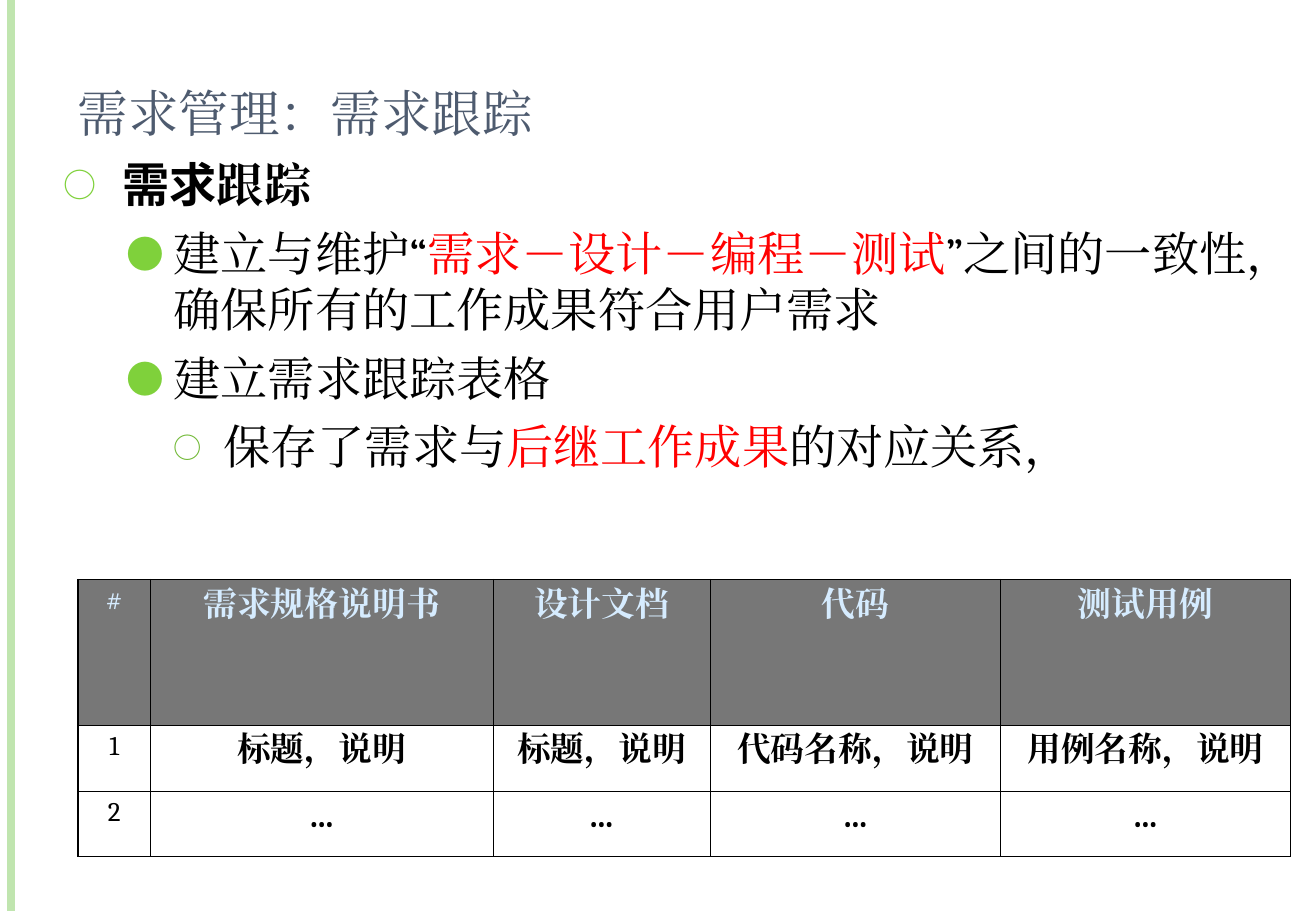
import pptx
import pptx.util
import pptx.dml.color
import pptx.enum.shapes
import pptx.enum.text
import pptx.oxml
import pptx.oxml.ns
import lxml.etree

Cm, Pt = pptx.util.Cm, pptx.util.Pt
RGB = pptx.dml.color.RGBColor.from_string
qn = pptx.oxml.ns.qn


class Theme:
    title, text, accent = "4E5B6F", "000000", "FF0101"
    stripe, bullet, sub_bullet = "C0E5AF", "7FD13B", "6FB833"
    head_fill, head_text = "777777", "D6ECFF"
    title_size, body_size, cell_size, number_size = 30, 28, 20, 16
    serif, roman, sans = "Cambria", "Times New Roman", "Noto Sans CJK SC"
    thin, thick = 0.45, 1.08


# Bullet levels: left margin and hanging indent in cm, space before, mark, colour, size
LEVELS = [
    (1.24, 1.24, 6, "○", Theme.bullet, 70),
    (2.31, 0.99, 7, "●", Theme.bullet, 80),
    (3.35, 1.04, 7, "○", Theme.sub_bullet, 60),
]
# Run styles: font, colour, bold
STYLES = {
    "lead": (Theme.sans, Theme.text, True),
    "lead_end": (Theme.roman, Theme.text, True),
    "plain": (Theme.roman, Theme.text, False),
    "quote": (Theme.serif, Theme.text, False),
    "red": (Theme.roman, Theme.accent, False),
}
BODY = [
    (0, [("需求", "lead"), ("跟踪", "lead_end")]),
    (1, [("建立与维护", "plain"), ("“", "quote"),
         ("需求－设计－编程－测试", "red"), ("”", "quote"),
         ("之间的一致性，确保所有的工作成果符合用户需求", "plain")]),
    (1, [("建立需求跟踪表格", "plain")]),
    (2, [("保存了需求与", "plain"), ("后继工作成果", "red"),
         ("的对应关系，", "plain")]),
]
TRACE_ROWS = [
    ["#", "需求规格说明书", "设计文档", "代码", "测试用例"],
    ["1", "标题，说明", "标题，说明", "代码名称，说明", "用例名称，说明"],
    ["2"] + ["..."] * 4,
]
COL_WIDTHS = [1.52, 7.16, 4.55, 6.07, 6.07]
ROW_HEIGHTS = [3.05, 1.37, 1.37]


def set_all(obj, values):
    for name, value in values.items():
        setattr(obj, name, value)


def add_run(p, text, size, font, color, bold=False):
    r = p.add_run()
    r.text = text
    set_all(r.font, {"size": Pt(size), "name": font, "bold": bold})
    r.font.color.rgb = RGB(color)
    # East Asian glyphs use the same font name
    ea = lxml.etree.SubElement(r.font._element, qn("a:ea"))
    ea.set("typeface", font)


def place(shape, box):
    set_all(shape, dict(zip(("left", "top", "width", "height"), map(Cm, box))))


def set_bullet(p, level):
    margin, hang, before, mark, color, size = LEVELS[level]
    set_all(p, {"level": level, "space_before": Pt(before)})
    pPr = p._p.get_or_add_pPr()
    pPr.set("marL", str(Cm(margin)))
    pPr.set("indent", str(-Cm(hang)))
    clr = lxml.etree.SubElement(pPr, qn("a:buClr"))
    lxml.etree.SubElement(clr, qn("a:srgbClr")).set("val", color)
    for tag, key, value in (("a:buSzPct", "val", str(size * 1000)),
                            ("a:buFont", "typeface", Theme.sans),
                            ("a:buChar", "char", mark)):
        lxml.etree.SubElement(pPr, qn(tag)).set(key, value)


def add_stripe(s, x, height):
    line = s.shapes.add_connector(pptx.enum.shapes.MSO_CONNECTOR.STRAIGHT,
                                  Cm(x), 0, Cm(x), Cm(height))
    line.line.width = Pt(4.5)
    line.line.color.rgb = RGB(Theme.stripe)
    lxml.etree.SubElement(line._element.spPr, qn("a:effectLst"))


def add_title(s, box, text):
    sp = s.shapes.title
    place(sp, box)
    tf = sp.text_frame
    set_all(tf, {"word_wrap": True,
                 "vertical_anchor": pptx.enum.text.MSO_ANCHOR.MIDDLE})
    p = tf.paragraphs[0]
    p.alignment = pptx.enum.text.PP_ALIGN.LEFT
    add_run(p, text, Theme.title_size, Theme.serif, Theme.title)


def add_body(s, box, paragraphs):
    sp = s.placeholders[1]
    place(sp, box)
    tf = sp.text_frame
    set_all(tf, {"word_wrap": True,
                 "auto_size": pptx.enum.text.MSO_AUTO_SIZE.NONE})
    for i, (level, runs) in enumerate(paragraphs):
        p = tf.add_paragraph() if i else tf.paragraphs[0]
        set_bullet(p, level)
        for text, style in runs:
            add_run(p, text, Theme.body_size, *STYLES[style])


def set_borders(cell, widths):
    tcPr = cell._tc.get_or_add_tcPr()
    for side, width in zip("LRTB", widths):
        ln = lxml.etree.SubElement(tcPr, qn("a:ln" + side), w=str(Pt(width)))
        fill = lxml.etree.SubElement(ln, qn("a:solidFill"))
        lxml.etree.SubElement(fill, qn("a:srgbClr")).set("val", Theme.text)


def add_trace_table(s, left, top, rows):
    table = s.shapes.add_table(len(rows), len(rows[0]), Cm(left), Cm(top),
                               Cm(sum(COL_WIDTHS)), Cm(sum(ROW_HEIGHTS))).table
    set_all(table, {"first_row": False, "horz_banding": False})
    for col, width in zip(table.columns, COL_WIDTHS):
        col.width = Cm(width)
    for i, (row, height) in enumerate(zip(rows, ROW_HEIGHTS)):
        table.rows[i].height = Cm(height)
        for j, text in enumerate(row):
            cell = table.cell(i, j)
            # Thick outer frame, thin inner grid
            outer = (j == 0, j == len(row) - 1, i == 0, i == len(rows) - 1)
            set_borders(cell, [Theme.thick if o else Theme.thin for o in outer])
            if i == 0:
                cell.fill.solid()
                cell.fill.fore_color.rgb = RGB(Theme.head_fill)
            else:
                cell.fill.background()
            p = cell.text_frame.paragraphs[0]
            set_all(p, {"alignment": pptx.enum.text.PP_ALIGN.CENTER,
                        "space_before": Pt(6)})
            add_run(p, text, Theme.cell_size if j else Theme.number_size,
                    Theme.serif, Theme.text if i else Theme.head_text, j > 0)


def main():
    prs = pptx.Presentation()
    set_all(prs, {"slide_width": Cm(27.53), "slide_height": Cm(19.05)})
    s = prs.slides.add_slide(prs.slide_layouts[1])
    add_stripe(s, 0.23, 19.05)
    add_title(s, (1.37, 0.76, 22.48, 3.18), "需求管理：需求跟踪")
    add_body(s, (1.07, 3.12, 25.3, 6.93), BODY)
    add_trace_table(s, 1.63, 12.12, TRACE_ROWS)
    prs.save("out.pptx")


if __name__ == "__main__":
    main()
